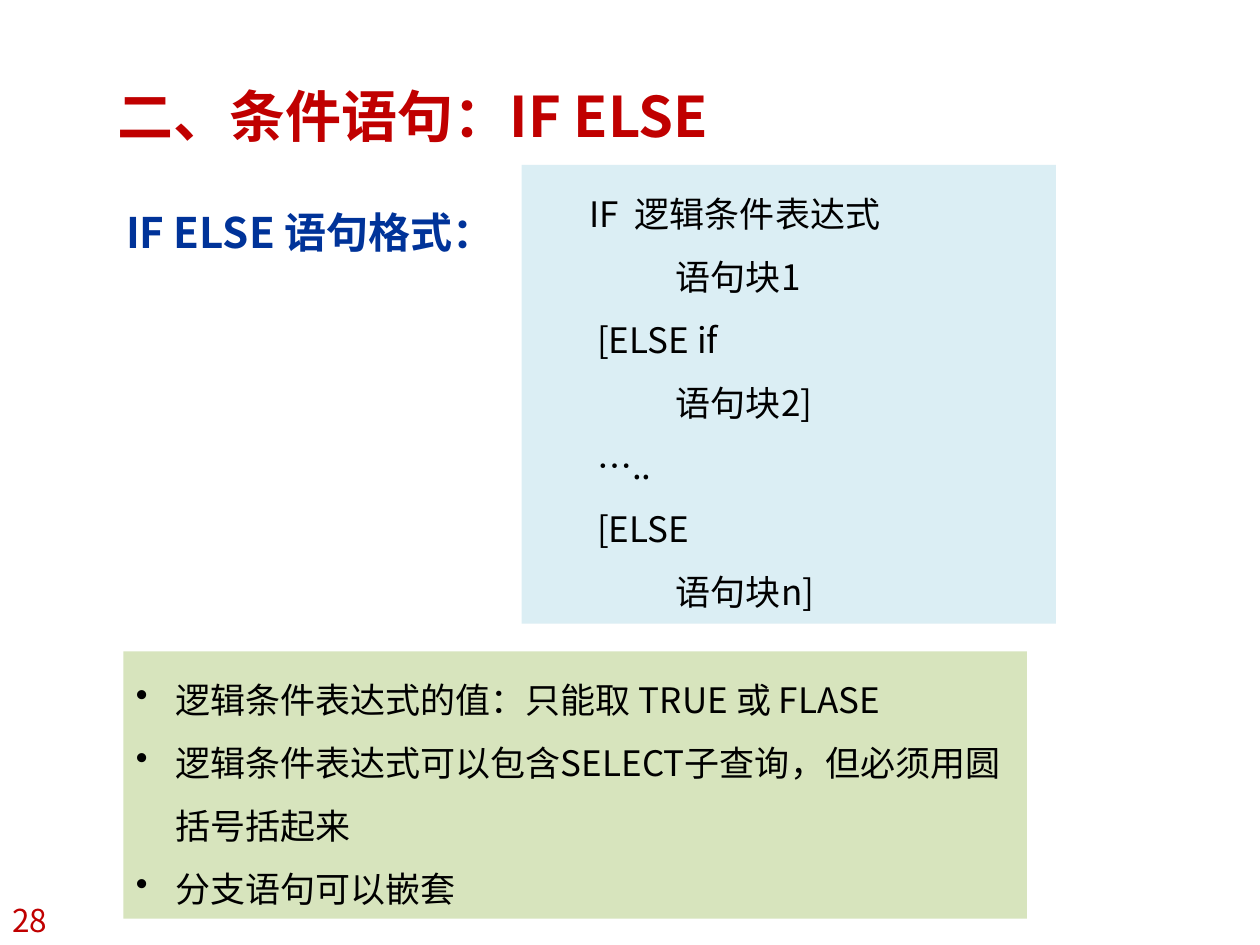
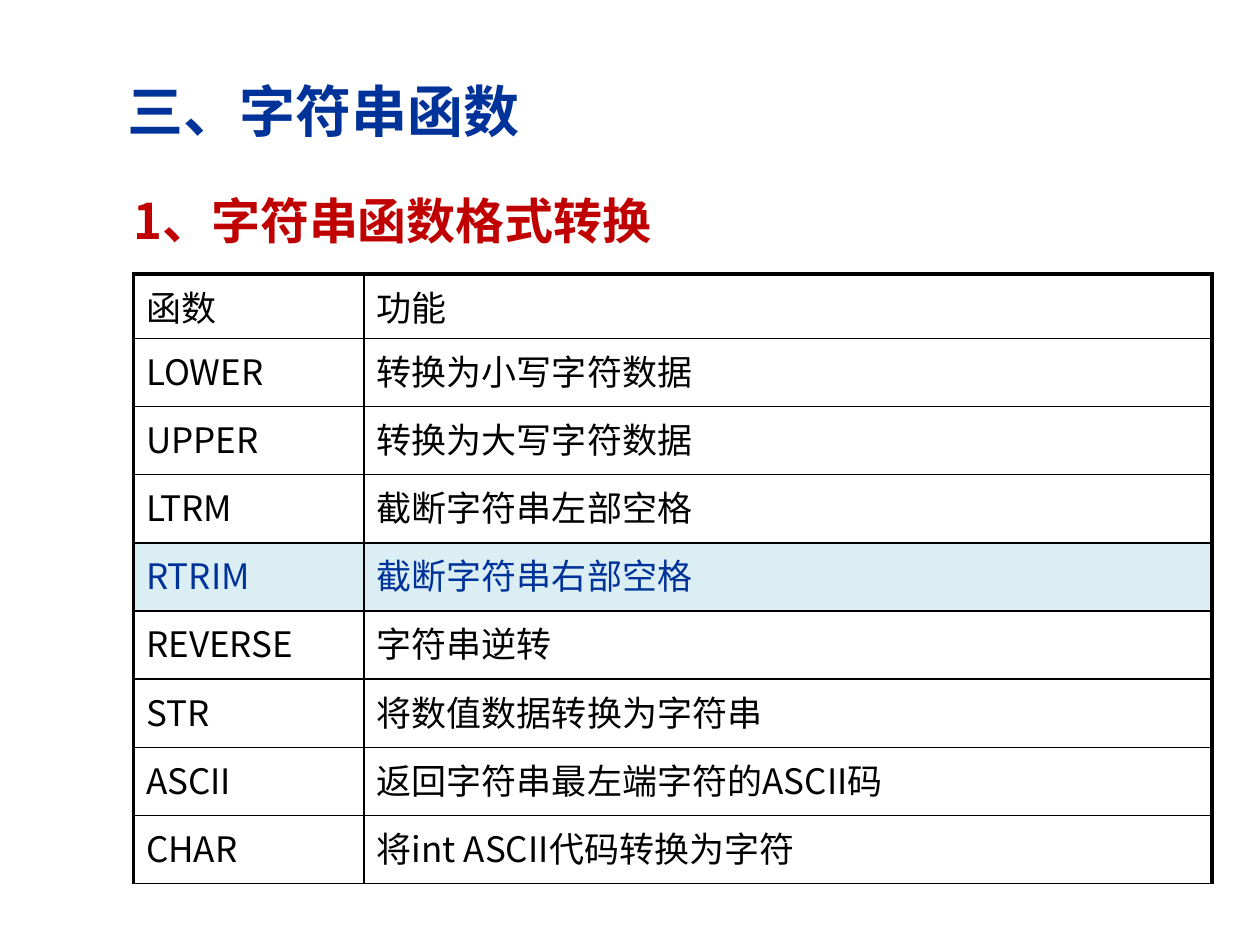
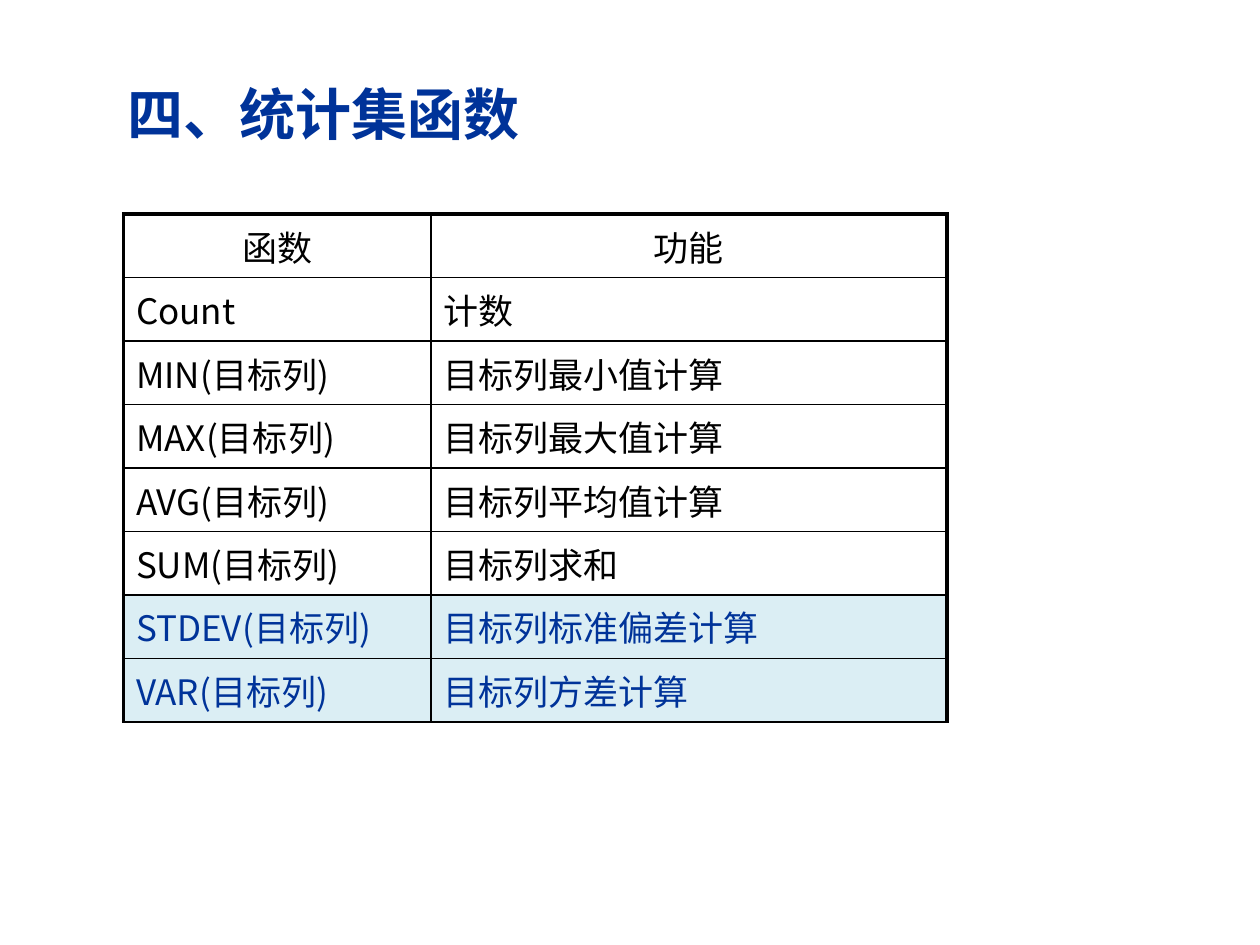
from dataclasses import dataclass

from lxml import etree
from pptx import Presentation
from pptx.dml.color import RGBColor
from pptx.enum import shapes, text
from pptx.oxml import ns
from pptx.util import Pt


# Theme: colours, type sizes and line widths
@dataclass(frozen=True)
class Theme:
    font: str = "Noto Sans CJK SC"
    red: str = "C00000"
    blue: str = "003399"
    black: str = "000000"
    pale_blue: str = "DBEEF4"
    pale_green: str = "D7E4BD"
    title: int = 32
    subtitle: int = 28
    lead: int = 24
    body: int = 20
    page: int = 18
    thick: float = 2.25
    thin: float = 1


T = Theme()
TITLE_ONLY, TITLE_AND_BODY = 5, 1
MIDDLE, TOP = text.MSO_ANCHOR.MIDDLE, text.MSO_ANCHOR.TOP
LEFT, CENTER = text.PP_ALIGN.LEFT, text.PP_ALIGN.CENTER


# Text
def set_indent(p, left, first=0, bullet=None):
    pPr = p._p.get_or_add_pPr()
    pPr.set("marL", str(Pt(left)))
    pPr.set("indent", str(Pt(first)))
    if bullet:
        etree.SubElement(pPr, ns.qn("a:buChar")).set("char", bullet)
    else:
        etree.SubElement(pPr, ns.qn("a:buNone"))


def write(p, words, size, color, bold=False, align=LEFT, spacing=None):
    p.alignment = align
    p.space_before = Pt(0)
    if spacing:
        p.line_spacing = spacing
    r = p.add_run()
    r.text = words
    r.font.name = T.font
    r.font.size = Pt(size)
    r.font.bold = bold
    r.font.color.rgb = RGBColor.from_string(color)
    ea = etree.SubElement(r._r.get_or_add_rPr(), ns.qn("a:ea"))
    ea.set("typeface", T.font)


def prepare_frame(sp, anchor=TOP):
    tf = sp.text_frame
    tf.word_wrap = True
    tf.auto_size = text.MSO_AUTO_SIZE.NONE
    tf.vertical_anchor = anchor
    return tf


def fill_placeholder(sp, box, words, size, color, anchor=MIDDLE, spacing=None):
    sp.left, sp.top, sp.width, sp.height = map(Pt, box)
    p = prepare_frame(sp, anchor).paragraphs[0]
    set_indent(p, 0)
    write(p, words, size, color, bold=True, spacing=spacing)


def add_label(s, box, words, size, color, first=0, anchor=TOP, **style):
    sp = s.shapes.add_textbox(*map(Pt, box))
    p = prepare_frame(sp, anchor).paragraphs[0]
    set_indent(p, 0, first)
    write(p, words, size, color, **style)


# Filled panel; each line is (text, left indent, first-line indent, bullet)
def add_panel(s, box, fill, lines):
    sp = s.shapes.add_shape(shapes.MSO_SHAPE.RECTANGLE, *map(Pt, box))
    sp.shadow.inherit = False
    sp.fill.solid()
    sp.fill.fore_color.rgb = RGBColor.from_string(fill)
    sp.line.fill.background()
    tf = prepare_frame(sp)
    for i, (words, left, first, bullet) in enumerate(lines):
        p = tf.add_paragraph() if i else tf.paragraphs[0]
        set_indent(p, left, first, bullet)
        write(p, words, T.body, T.black, spacing=1.5)


# Tables
def set_borders(cell, widths):
    tcPr = cell._tc.get_or_add_tcPr()
    for i, (side, width) in enumerate(widths.items()):
        ln = etree.Element(ns.qn("a:ln" + side), w=str(Pt(width)))
        solid = etree.SubElement(ln, ns.qn("a:solidFill"))
        etree.SubElement(solid, ns.qn("a:srgbClr")).set("val", T.black)
        tcPr.insert(i, ln)


def add_function_table(s, left, top, cols, heights, rows, marked, head_align=LEFT):
    frame = s.shapes.add_table(len(rows), len(cols), Pt(left), Pt(top),
                               Pt(sum(cols)), Pt(sum(heights)))
    table = frame.table
    table.first_row = table.horz_banding = False
    for column, width in zip(table.columns, cols):
        column.width = Pt(width)
    for i, row in enumerate(rows):
        table.rows[i].height = Pt(heights[i])
        highlight = row[0] in marked
        for j, words in enumerate(row):
            cell = table.cell(i, j)
            if highlight:
                cell.fill.solid()
                cell.fill.fore_color.rgb = RGBColor.from_string(T.pale_blue)
            else:
                cell.fill.background()
            write(cell.text_frame.paragraphs[0], words, T.body,
                  T.blue if highlight else T.black,
                  align=LEFT if i else head_align)
            set_borders(cell, {
                "L": T.thin if j else T.thick,
                "R": T.thick if j == len(cols) - 1 else T.thin,
                "T": T.thin if i else T.thick,
                "B": T.thin,
            })


# Slides
def add_slide(prs, layout):
    s = prs.slides.add_slide(prs.slide_layouts[layout])
    return s


def build_if_else(prs):
    s = add_slide(prs, TITLE_AND_BODY)
    add_label(s, (-8.64, 511.2, 51.12, 28.8), "28", T.page, T.red,
              anchor=MIDDLE, align=CENTER)
    fill_placeholder(s.shapes.title, (59.76, 20.88, 635.76, 90),
                     "二、条件语句：IF ELSE", T.title, T.red)
    fill_placeholder(s.placeholders[1], (64.8, 100.08, 623.52, 51.12),
                     "IF ELSE 语句格式：", T.lead, T.blue, TOP, 1.5)
    keyword, block = 36, 81
    syntax = [
        ("IF  逻辑条件表达式", 31.68),
        ("语句块1", block),
        ("[ELSE if", keyword),
        ("语句块2]", block),
        ("…..", keyword),
        ("[ELSE", keyword),
        ("语句块n]", block),
    ]
    add_panel(s, (298.08, 94.32, 305.28, 262.08), T.pale_blue,
              [(words, left, 0, None) for words, left in syntax])
    notes = [
        "逻辑条件表达式的值：只能取 TRUE 或 FLASE",
        "逻辑条件表达式可以包含SELECT子查询，但必须用圆括号括起来",
        "分支语句可以嵌套",
    ]
    add_panel(s, (70.56, 372.24, 516.24, 152.64), T.pale_green,
              [(words, 22.5, -22.5, "•") for words in notes])


def build_string_functions(prs):
    s = add_slide(prs, TITLE_ONLY)
    rows = [
        ("函数", "功能"),
        ("LOWER", "转换为小写字符数据"),
        ("UPPER", "转换为大写字符数据"),
        ("LTRM", "截断字符串左部空格"),
        ("RTRIM", "截断字符串右部空格"),
        ("REVERSE", "字符串逆转"),
        ("STR", "将数值数据转换为字符串"),
        ("ASCII", "返回字符串最左端字符的ASCII码"),
        ("CHAR", "将int ASCII代码转换为字符"),
    ]
    add_function_table(s, 76.32, 156.6, (131.76, 484.56),
                       [36.72] + [38.95] * (len(rows) - 1), rows, {"RTRIM"})
    add_label(s, (48.24, 88.56, 646.56, 51.84), "1、字符串函数格式转换",
              T.subtitle, T.red, first=20.88, bold=True, spacing=1.5)
    fill_placeholder(s.shapes.title, (65.52, 20.88, 595.44, 65.52),
                     "三、字符串函数", T.title, T.blue, TOP, 1.5)


def build_aggregate_functions(prs):
    s = add_slide(prs, TITLE_ONLY)
    fill_placeholder(s.shapes.title, (65.52, 35.28, 629.28, 59.04),
                     "四、统计集函数", T.title, T.blue)
    rows = [
        ("函数", "功能"),
        ("Count", "计数"),
        ("MIN(目标列)", "目标列最小值计算"),
        ("MAX(目标列)", "目标列最大值计算"),
        ("AVG(目标列)", "目标列平均值计算"),
        ("SUM(目标列)", "目标列求和"),
        ("STDEV(目标列)", "目标列标准偏差计算"),
        ("VAR(目标列)", "目标列方差计算"),
    ]
    add_function_table(s, 70.56, 122.4, (175.68, 294.84),
                       [35.45] * len(rows), rows,
                       {"STDEV(目标列)", "VAR(目标列)"}, CENTER)


def main():
    prs = Presentation()
    prs.slide_width, prs.slide_height = Pt(720), Pt(540)
    build_if_else(prs)
    build_string_functions(prs)
    build_aggregate_functions(prs)
    prs.save("out.pptx")


if __name__ == "__main__":
    main()
